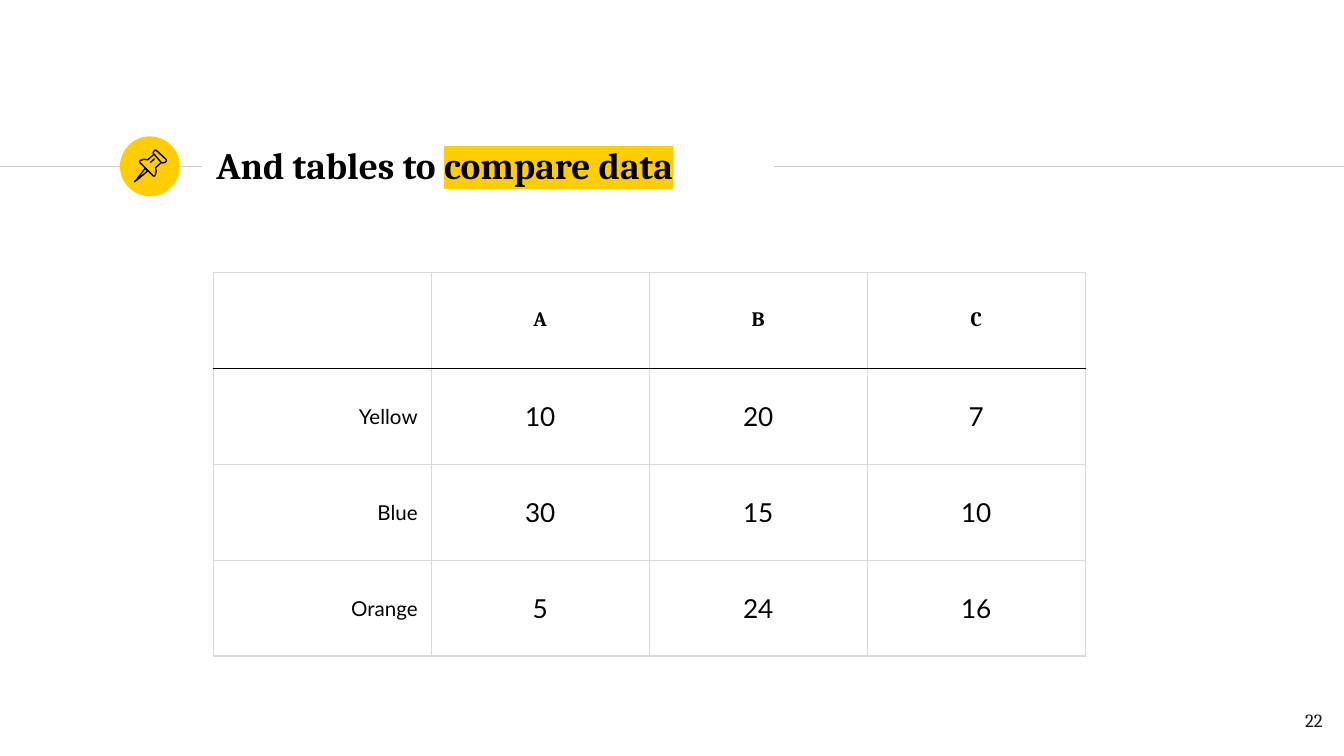
"""Build a slide with a titled table that compares data."""
import pptx
import pptx.util
import pptx.dml.color
import pptx.enum.shapes
import pptx.enum.text
import pptx.oxml
import pptx.oxml.ns

Pt = pptx.util.Pt
RGB = pptx.dml.color.RGBColor
ALIGN = pptx.enum.text.PP_ALIGN
MIDDLE = pptx.enum.text.MSO_ANCHOR.MIDDLE
BLACK = RGB(0, 0, 0)
INK = RGB(0x1D, 0x1D, 0x1B)
YELLOW = RGB(0xFF, 0xCD, 0x00)
GREY = RGB(0xCC, 0xCC, 0xCC)
PALE = RGB(0xD9, 0xD9, 0xD9)
WHITE = RGB(0xFF, 0xFF, 0xFF)
NS = pptx.oxml.ns.nsdecls("a")


def add_run(para, text, size, face="Cambria", bold=False, color=BLACK):
    run = para.add_run()
    run.text = text
    run.font.size = Pt(size)
    run.font.bold = bold
    run.font.color.rgb = color
    run.font.name = face
    return run


def add_edge(cell, side, color):
    cell._tc.get_or_add_tcPr().append(pptx.oxml.parse_xml(
        f'<a:{side} {NS} w="{Pt(0.75)}"><a:solidFill><a:srgbClr val="{color}"/>'
        f'</a:solidFill></a:{side}>'))


deck = pptx.Presentation()
deck.slide_width, deck.slide_height = Pt(720), Pt(405)
slide = deck.slides.add_slide(deck.slide_layouts[5])
shapes = slide.shapes

for start, end in ((0, 108), (414.7, 720)):
    rule = shapes.add_connector(
        pptx.enum.shapes.MSO_CONNECTOR.STRAIGHT, Pt(start), Pt(89.2), Pt(end), Pt(89.2))
    rule.line.color.rgb = GREY
    rule.line.width = Pt(0.75)
    rule._element.spPr.append(pptx.oxml.parse_xml(f"<a:effectLst {NS}/>"))

disc = shapes.add_shape(
    pptx.enum.shapes.MSO_SHAPE.OVAL, Pt(64.3), Pt(73.1), Pt(32.1), Pt(32.1))
disc.shadow.inherit = False
disc.fill.solid()
disc.fill.fore_color.rgb = YELLOW
disc.line.fill.background()

title = shapes.title
title.left, title.top, title.width, title.height = Pt(108.7), Pt(70.8), Pt(305.3), Pt(34.8)
frame = title.text_frame
frame.margin_left = frame.margin_right = frame.margin_top = frame.margin_bottom = Pt(7.2)
frame.vertical_anchor = MIDDLE
frame.word_wrap = True
frame.auto_size = pptx.enum.text.MSO_AUTO_SIZE.NONE
para = frame.paragraphs[0]
para.alignment = ALIGN.LEFT
add_run(para, "And tables to ", 20, bold=True)
mark = add_run(para, "compare data", 20, bold=True)
fill = mark.font._element.find(pptx.oxml.ns.qn("a:solidFill"))
fill.addnext(pptx.oxml.parse_xml(
    f'<a:highlight {NS}><a:srgbClr val="{YELLOW}"/></a:highlight>'))

ROWS = (
    ("", "A", "B", "C"),
    ("Yellow", "10", "20", "7"),
    ("Blue", "30", "15", "10"),
    ("Orange", "5", "24", "16"),
)
WIDE, HIGH = 116.8, 51.4
table = shapes.add_table(
    4, 4, Pt(114.2), Pt(145.9), Pt(4 * WIDE), Pt(4 * HIGH)).table
table.first_row = table.horz_banding = False
for col in table.columns:
    col.width = Pt(WIDE)
for r, row in enumerate(ROWS):
    table.rows[r].height = Pt(HIGH)
    for c, text in enumerate(row):
        cell = table.cell(r, c)
        cell.margin_left = cell.margin_right = Pt(7.2)
        cell.margin_top = cell.margin_bottom = Pt(5)
        cell.vertical_anchor = MIDDLE
        add_edge(cell, "lnL", PALE)
        add_edge(cell, "lnR", PALE)
        add_edge(cell, "lnT", BLACK if r == 1 else PALE)
        add_edge(cell, "lnB", BLACK if r == 0 else PALE)
        cell.fill.solid()
        cell.fill.fore_color.rgb = WHITE
        para = cell.text_frame.paragraphs[0]
        para.alignment = ALIGN.CENTER if c else ALIGN.RIGHT
        if text:
            add_run(para, text, 14 if r and c else 11,
                    face="Lato" if r else "Cambria", bold=r == 0)

NEEDLE = ((77.8, 90.2), (73, 96.5), (72, 97.4), (73.2, 96.6), (79.2, 91.6))
CAP = ((82.6, 82.6), (86.4, 87.1), (87.4, 87.3), (88.5, 87), (89.1, 86.4),
       (89.2, 85.6), (83.6, 80.4), (83, 80.5), (82.2, 81.4), (82.1, 82.2))
BODY = ((82.6, 82.6), (79.2, 85.6), (77, 85.4), (75.2, 86), (74.7, 86.6),
        (75, 87.1), (82.1, 94.3), (82.8, 94.4), (83.3, 93.6), (83.7, 91.8),
        (83.3, 90), (86.4, 87.1))
GLINT = ((80.6, 87.1), (82.8, 85))
pin = shapes.add_group_shape()
for dots, closed in ((NEEDLE, True), (CAP, True), (BODY, False), (GLINT, False)):
    dots = [(Pt(x), Pt(y)) for x, y in dots]
    pen = pin.shapes.build_freeform(*dots[0])
    pen.add_line_segments(dots[1:], close=closed)
    part = pen.convert_to_shape()
    part.shadow.inherit = False
    part.fill.background()
    part.line.color.rgb = BLACK
    part.line.width = Pt(0.75)

box = shapes.add_textbox(Pt(672.5), Pt(373.7), Pt(43.2), Pt(31))
frame = box.text_frame
frame.word_wrap = True
frame.margin_left = frame.margin_right = frame.margin_top = frame.margin_bottom = Pt(7.2)
para = frame.paragraphs[0]
para.alignment = ALIGN.RIGHT
add_run(para, "22", 10, color=INK)

deck.save("out.pptx")
